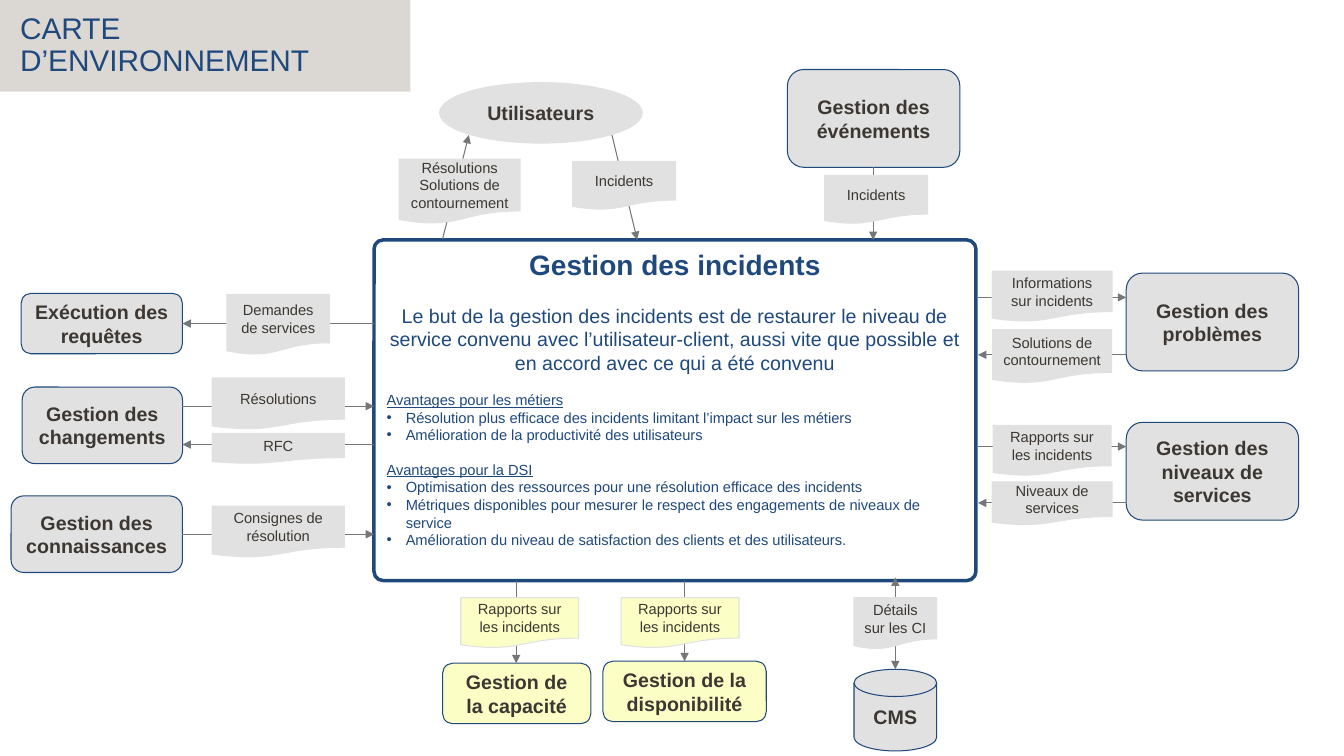
from pptx import Presentation
from pptx.dml.color import RGBColor
from pptx.enum.shapes import MSO_CONNECTOR, MSO_SHAPE as Form
from pptx.enum.text import MSO_ANCHOR as Anchor, PP_ALIGN as Align
from pptx.oxml.ns import qn
from pptx.util import Inches, Pt
from lxml.etree import SubElement

NAVY = RGBColor(0x1F, 0x49, 0x7D)
INK = RGBColor(0x3C, 0x37, 0x32)
GREY = RGBColor(0xE1, 0xE1, 0xE1)
SAND = RGBColor(0xDB, 0xD7, 0xD3)
LEMON = RGBColor(0xFB, 0xFF, 0xC6)
STEEL = RGBColor(0x74, 0x76, 0x78)

REPORT = "Rapports sur les incidents"


def cell(count):
    """Length of a number of grid cells, ten to the inch."""
    return Inches(count / 10)


def shift(box, part):
    """Move a part given relative to a box onto the slide grid."""
    return box[0] + part[0], box[1] + part[1], part[2], part[3]


def write(frame, text, size=14, color=INK, bold=False, under=False,
          align=Align.CENTER, before=0, bullet=False, leading=None):
    """Add one paragraph to a frame, using its empty first one if free."""
    para = frame.paragraphs[0]
    if para.runs:
        para = frame.add_paragraph()
    para.alignment = align
    if leading:
        para.line_spacing = leading
    if before:
        para.space_before = Pt(before)
    if bullet:
        props = para._p.get_or_add_pPr()
        props.set("marL", str(Inches(0.19)))
        props.set("indent", str(-Inches(0.19)))
        SubElement(props, qn("a:buFont")).set("typeface", "Arial")
        SubElement(props, qn("a:buChar")).set("char", "•")
    run = para.add_run()
    run.text = text
    font = run.font
    font.name, font.size, font.bold = "Arial", Pt(size), bold
    font.underline = under
    font.color.rgb = color


def block(slide, form, box, fill=None, line=None, weight=0.75,
          pad=(1, 1), anchor=Anchor.MIDDLE):
    """Draw a shape and return it; pad is the side and top inset."""
    shape = slide.shapes.add_shape(form, *map(cell, box))
    shape.shadow.inherit = False
    if fill is None:
        shape.fill.background()
    else:
        shape.fill.solid()
        shape.fill.fore_color.rgb = fill
    if line is None:
        shape.line.fill.background()
    else:
        shape.line.color.rgb = line
        shape.line.width = Pt(weight)
    frame = shape.text_frame
    frame.word_wrap = True
    frame.vertical_anchor = anchor
    frame.margin_left = frame.margin_right = cell(pad[0])
    frame.margin_top = frame.margin_bottom = cell(pad[1])
    return shape


def node(slide, text, box, form=Form.ROUNDED_RECTANGLE, fill=GREY, line=NAVY):
    shape = block(slide, form, box, fill, line)
    write(shape.text_frame, text, bold=True)


def sheet(slide, text, box, fill=GREY):
    """Draw a document that travels along a wire."""
    shape = block(slide, Form.FLOWCHART_DOCUMENT, box, fill, GREY)
    for part in text.split("\n"):
        write(shape.text_frame, part, size=10.5)


def wire(slide, start, end, both=False):
    link = slide.shapes.add_connector(
        MSO_CONNECTOR.STRAIGHT, *map(cell, (*start, *end)))
    link.line.color.rgb = STEEL
    link.line.width = Pt(0.75)
    line = link.line._get_or_add_ln()
    for tag in ("a:headEnd", "a:tailEnd")[0 if both else 1:]:
        SubElement(line, qn(tag)).set("type", "triangle")
    SubElement(link._element.spPr, qn("a:effectLst"))


def title(slide, box):
    shape = block(slide, Form.RECTANGLE, box, SAND, pad=(2, 0.4))
    write(shape.text_frame, "CARTE D’ENVIRONNEMENT", size=21.3, color=NAVY,
          align=Align.LEFT, leading=0.9)


def hub(slide, box):
    """Draw the central process with its aim and benefits."""
    shape = block(slide, Form.ROUNDED_RECTANGLE, box, line=NAVY, weight=2.5,
                  pad=(1, 0.5), anchor=Anchor.TOP)
    shape.adjustments[0] = 0.027
    frame = shape.text_frame
    write(frame, "Gestion des incidents", size=20, color=NAVY, bold=True)
    write(frame, "Le but de la gestion des incidents est de restaurer le "
          "niveau de service convenu avec l’utilisateur-client, aussi vite "
          "que possible et en accord avec ce qui a été convenu",
          color=NAVY, before=16)
    gains = {
        "Avantages pour les métiers": (
            "Résolution plus efficace des incidents limitant l’impact sur "
            "les métiers",
            "Amélioration de la productivité des utilisateurs"),
        "Avantages pour la DSI": (
            "Optimisation des ressources pour une résolution efficace des "
            "incidents",
            "Métriques disponibles pour mesurer le respect des engagements "
            "de niveaux de service",
            "Amélioration du niveau de satisfaction des clients et des "
            "utilisateurs."),
    }
    look = dict(size=10.5, color=NAVY, align=Align.LEFT)
    for head, points in gains.items():
        write(frame, head, under=True, before=12, **look)
        for point in points:
            write(frame, point, bullet=True, **look)


def side(slide, box, col, peers, right=False):
    """Place peers in an outer column, joined across a lane to the hub.

    A peer is text, top, width, height and flows; a flow is text, top,
    width, height, wire row and whether it runs to the hub.
    """
    x, y, wide, _ = box
    edge, core = (x + wide - col, x) if right else (x + col, x + wide)
    mid = (edge + core) / 2
    for text, top, width, height, flows in peers:
        left = edge if right else edge - width
        node(slide, text, (left, y + top, width, height))
        for label, drop, span, tall, row, inward in flows:
            ends = (edge, y + row), (core, y + row)
            wire(slide, *(ends if inward else ends[::-1]))
            sheet(slide, label, (mid - span / 2, y + drop, span, tall))


def band(slide, box, peers):
    """Place peers above or below the hub, with wires down or up.

    A peer is text, place, look and flows; a flow is text, place,
    start, end and whether it runs both ways.
    """
    x, y = box[:2]
    for text, place, look, flows in peers:
        node(slide, text, shift(box, place), **look)
        for label, spot, start, end, both in flows:
            wire(slide, (x + start[0], y + start[1]),
                 (x + end[0], y + end[1]), both)
            sheet(slide, label, shift(box, spot),
                  fill=LEMON if look.get("fill") == LEMON else GREY)


def main():
    deck = Presentation()
    deck.slide_width, deck.slide_height = Inches(13.33), Inches(7.5)
    slide = deck.slides.add_slide(deck.slide_layouts[6])
    title(slide, (0, 0, 40.7, 9.1))
    hub(slide, (37.1, 23.8, 59.7, 33.8))
    side(slide, (1, 29, 36.1, 28), 17.1, [
        ("Exécution des requêtes", 0.1, 16, 6, [
            ("Demandes de services", 0.2, 10.2, 6, 3.1, False)]),
        ("Gestion des changements", 9.4, 15.9, 7.6, [
            ("Résolutions", 8.5, 13.1, 5.1, 11.3, True),
            ("RFC", 14, 13.1, 3, 15.1, False)]),
        ("Gestion des connaissances", 20.2, 17, 7.6, [
            ("Consignes de résolution", 21.2, 13.1, 5.1, 24, True)]),
    ])
    side(slide, (97, 26.9, 31.8, 25.2), 17.1, [
        ("Gestion des problèmes", 0.2, 17.1, 9.7, [
            ("Informations sur incidents", 0, 11.9, 5, 2.6, False),
            ("Solutions de contournement", 5.8, 11.8, 5.3, 8.3, True)]),
        ("Gestion des niveaux de services", 15, 17.1, 9.7, [
            (REPORT, 15.3, 11.7, 5, 17.4, False),
            ("Niveaux de services", 20.9, 11.9, 4.3, 23, True)]),
    ], right=True)
    band(slide, (39.6, 6.9, 55.6, 16.9), [
        ("Utilisateurs", (4, 1.3, 20.1, 6), dict(form=Form.OVAL, line=GREY), [
            ("Résolutions\nSolutions de contournement", (0, 8.9, 12, 6.4),
             (4.3, 16.8), (6.9, 6.5), False),
            ("Incidents", (17.2, 9.1, 10.2, 4.8),
             (21.1, 6.5), (23.6, 16.9), False)]),
        ("Gestion des événements", (38.5, 0, 17.1, 9.7), {}, [
            ("Incidents", (42.2, 10.5, 10.2, 4.8),
             (47, 9.7), (47, 16.9), False)]),
    ])
    band(slide, (43.9, 57.6, 49, 17), [
        ("Gestion de la capacité", (0, 8.2, 14.7, 6), dict(fill=LEMON), [
            (REPORT, (1.8, 1.7, 11.7, 5), (7.3, 0), (7.3, 8.2), False)]),
        ("Gestion de la disponibilité", (15.9, 8, 16.2, 6), dict(fill=LEMON), [
            (REPORT, (17.7, 1.7, 11.7, 5), (24, 0), (24, 8), False)]),
        ("CMS", (40.8, 8.8, 8.2, 8.1), dict(form=Form.FLOWCHART_MAGNETIC_DISK), [
            ("Détails sur les CI", (40.8, 1.7, 8.2, 5.1),
             (44.9, -0.3), (44.9, 8.8), True)]),
    ])
    deck.save("out.pptx")


if __name__ == "__main__":
    main()
